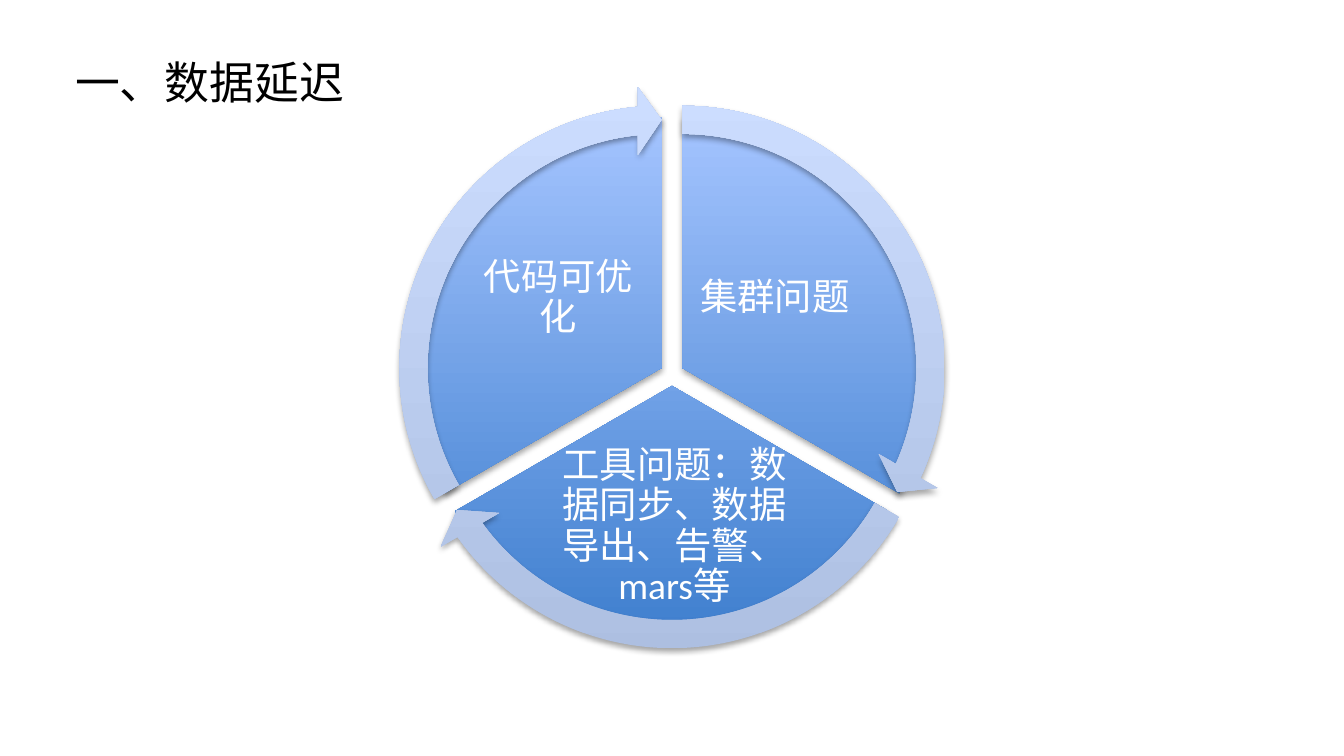
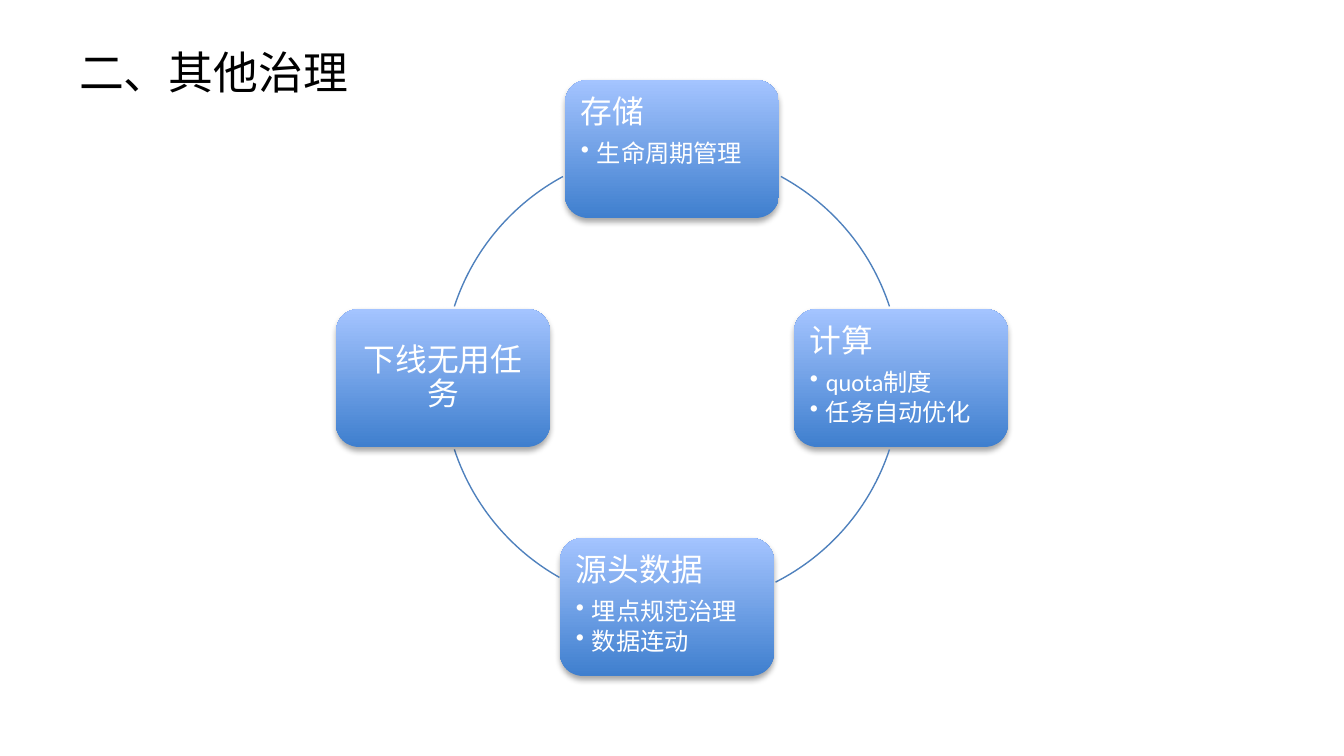
import math
from dataclasses import dataclass

import lxml.etree
import pptx
import pptx.dml.color
import pptx.enum.shapes
import pptx.enum.text
import pptx.oxml.ns
import pptx.util

SHAPE = pptx.enum.shapes.MSO_SHAPE
ALIGN = pptx.enum.text.PP_ALIGN
ANCHOR = pptx.enum.text.MSO_ANCHOR
qn = pptx.oxml.ns.qn


@dataclass(frozen=True)
class Theme:
    black: str = "000000"
    white: str = "FFFFFF"
    ring: str = "4F81BD"
    solid: tuple = ("3F7FCE", "A4C4FF")
    pale: tuple = ("ADBFE1", "CCDDFF")
    title_font: str = "Noto Sans CJK SC"
    body_font: str = "Calibri"
    title: int = 24
    sector: int = 20
    card: int = 17
    bullet: int = 13


THEME = Theme()
EMU_PER_PX = 914400 / 134.4
SLIDE_W, SLIDE_H = 1344, 756

DELAY_TITLE = ("一、数据延迟", (62, 48, 298, 67))
# text, start and end angle in degrees, text box, alignment
SECTORS = [
    ("集群问题", 270, 30, (696, 224, 179, 149), ALIGN.LEFT),
    ("工具问题：数据同步、数据导出、告警、mars等", 30, 150, (540, 461, 269, 132), ALIGN.CENTER),
    ("代码可优化", 150, 270, (469, 224, 179, 149), ALIGN.CENTER),
]
PIE_CENTRE, PIE_SIZE, PIE_GAP, ARROW_SIZE = (672, 374), 501, 12, 564
ARROW_WIDTH, ARROW_HEAD_DEG, ARROW_HEAD_WIDTH = 0.05, 5.46, 0.06

CARE_TITLE = ("二、其他治理", (66, 38, 298, 67))
# heading, bullets, angle on the ring, sideways shift
CARDS = [
    ("存储", ["生命周期管理"], 270, 0),
    ("计算", ["quota制度", "任务自动优化"], 0, 0),
    ("源头数据", ["埋点规范治理", "数据连动"], 90, -5),
    ("下线无用任务", [], 180, 0),
]
ARCS = [(298.4, 341.8), (18.2, 63.1), (119.4, 161.8), (198.2, 241.6)]
RING_CENTRE, RING_RADIUS = (672, 378), 229
CARD_W, CARD_H, CARD_PAD = 214, 138, 7


def px(n):
    return pptx.util.Emu(round(n * EMU_PER_PX))


def rgb(code):
    return pptx.dml.color.RGBColor.from_string(code)


def polar(centre, radius, degrees):
    a = math.radians(degrees)
    return centre[0] + radius * math.cos(a), centre[1] + radius * math.sin(a)


def centred(centre, w, h):
    return centre[0] - w / 2, centre[1] - h / 2, w, h


def angle(degrees):
    """Degrees as a shape adjustment (60000 units each, stored per 100000)."""
    return degrees * 0.6


def add_text(slide, box, paragraphs, size, font=THEME.body_font, color=THEME.white,
             align=ALIGN.LEFT, anchor=ANCHOR.TOP, inset=None, wrap=True, spaced=True):
    """Add a text box; each paragraph is a string, or (string, size) for a bullet."""
    sp = slide.shapes.add_textbox(*map(px, box))
    tf = sp.text_frame
    tf.word_wrap = wrap
    tf.vertical_anchor = anchor
    if not wrap:
        tf.auto_size = pptx.enum.text.MSO_AUTO_SIZE.SHAPE_TO_FIT_TEXT
    if inset is not None:
        tf.margin_left = tf.margin_top = tf.margin_right = tf.margin_bottom = px(inset)
    for i, item in enumerate(paragraphs):
        bulleted = isinstance(item, tuple)
        text, pt = item if bulleted else (item, size)
        p = tf.add_paragraph() if i else tf.paragraphs[0]
        p.alignment = align
        if spaced:
            p.line_spacing = 0.9
            set_space_after(p, 15 if bulleted else 35)
        if bulleted:
            set_bullet(p)
        r = p.add_run()
        r.text = text
        r.font.size = pptx.util.Pt(pt)
        r.font.name = font
        r.font.color.rgb = rgb(color)


def set_space_after(p, percent):
    after = lxml.etree.SubElement(p._p.get_or_add_pPr(), qn("a:spcAft"))
    lxml.etree.SubElement(after, qn("a:spcPct"), val=str(percent * 1000))


def set_bullet(p, indent=16):
    p.level = 1
    pPr = p._p.get_or_add_pPr()
    pPr.set("marL", str(px(indent)))
    pPr.set("indent", str(px(-indent)))
    lxml.etree.SubElement(pPr, qn("a:buChar"), char="•")


def add_shape(slide, kind, box, adjustments=()):
    sp = slide.shapes.add_shape(kind, *map(px, box))
    sp.shadow.inherit = False
    for i, value in enumerate(adjustments):
        sp.adjustments[i] = value
    return sp


def add_glossy(slide, kind, box, colors, adjustments=()):
    """Add a borderless shape with an upward gradient and a soft shadow."""
    sp = add_shape(slide, kind, box, adjustments)
    sp.line.fill.background()
    sp.fill.gradient()
    sp.fill.gradient_angle = 90
    for stop, color, position in zip(sp.fill.gradient_stops, colors, (0, 1)):
        stop.color.rgb = rgb(color)
        stop.position = position
    effects = sp._element.spPr.find(qn("a:effectLst"))
    shadow = lxml.etree.SubElement(effects, qn("a:outerShdw"), blurRad="40000", dist="23000",
                                   dir="5400000", rotWithShape="0")
    black = lxml.etree.SubElement(shadow, qn("a:srgbClr"), val=THEME.black)
    lxml.etree.SubElement(black, qn("a:alpha"), val="35000")


def add_titled_slide(prs, title):
    slide = prs.slides.add_slide(prs.slide_layouts[6])
    text, box = title
    add_text(slide, box, [text], THEME.title, font=THEME.title_font, color=THEME.black,
             wrap=False, spaced=False)
    return slide


def build_delay_slide(prs):
    slide = add_titled_slide(prs, DELAY_TITLE)
    arrows = []
    for text, start, end, text_box, align in SECTORS:
        centre = polar(PIE_CENTRE, PIE_GAP, start + 60)
        add_glossy(slide, SHAPE.PIE, centred(centre, PIE_SIZE, PIE_SIZE), THEME.solid,
                   (angle(start), angle(end)))
        add_text(slide, text_box, [text], THEME.sector, align=align,
                 anchor=ANCHOR.MIDDLE, inset=4)
        arrows.append((centred(centre, ARROW_SIZE, ARROW_SIZE), start, end))
    for box, start, end in arrows:
        add_glossy(slide, SHAPE.CIRCULAR_ARROW, box, THEME.pale,
                   (ARROW_WIDTH, angle(ARROW_HEAD_DEG), angle(end - ARROW_HEAD_DEG),
                    angle(start), ARROW_HEAD_WIDTH))


def build_care_slide(prs):
    slide = add_titled_slide(prs, CARE_TITLE)
    ring_box = centred(RING_CENTRE, 2 * RING_RADIUS, 2 * RING_RADIUS)
    for (heading, bullets, degrees, shift), (start, end) in zip(CARDS, ARCS):
        x, y = polar(RING_CENTRE, RING_RADIUS, degrees)
        centre = x + shift, y
        add_glossy(slide, SHAPE.ROUNDED_RECTANGLE, centred(centre, CARD_W, CARD_H), THEME.solid)
        add_text(slide, centred(centre, CARD_W - 2 * CARD_PAD, CARD_H - 2 * CARD_PAD),
                 [heading] + [(b, THEME.bullet) for b in bullets], THEME.card, inset=9,
                 align=ALIGN.LEFT if bullets else ALIGN.CENTER,
                 anchor=ANCHOR.TOP if bullets else ANCHOR.MIDDLE)
        arc = add_shape(slide, SHAPE.ARC, ring_box, (angle(start), angle(end)))
        arc.fill.background()
        arc.line.color.rgb = rgb(THEME.ring)
        arc.line.width = pptx.util.Pt(0.75)


def main():
    prs = pptx.Presentation()
    prs.slide_width, prs.slide_height = px(SLIDE_W), px(SLIDE_H)
    build_delay_slide(prs)
    build_care_slide(prs)
    prs.save("out.pptx")


if __name__ == "__main__":
    main()
